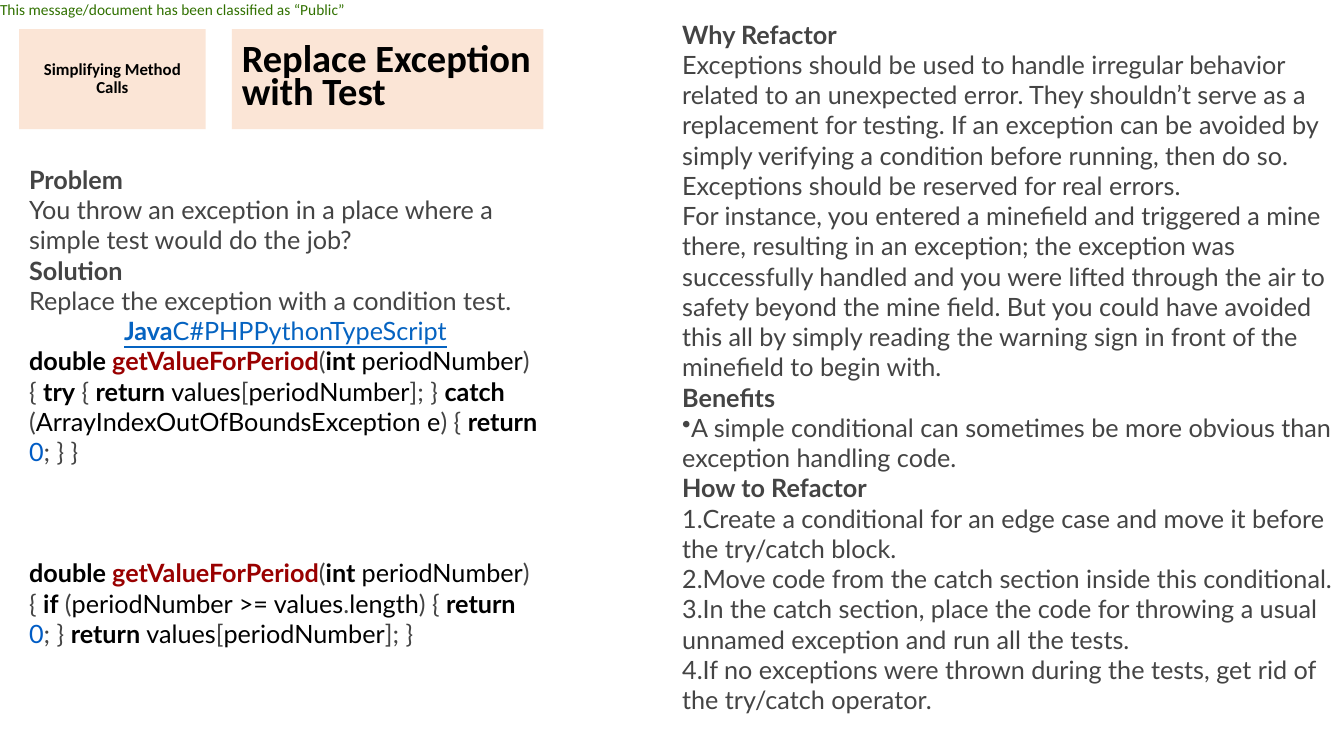
from dataclasses import dataclass, field

import pptx
import pptx.dml.color
import pptx.enum.shapes
import pptx.enum.text
import pptx.oxml.ns
import pptx.util
from lxml import etree

Pt = pptx.util.Pt
ALIGN = pptx.enum.text.PP_ALIGN
ANCHOR = pptx.enum.text.MSO_ANCHOR

GREY, BLACK, PEACH = "444444", "000000", "FBE5D6"


@dataclass(frozen=True)
class Style:
    color: str = GREY
    bold: bool = False
    underline: bool = False
    size: float = 18
    name: str = "Lato"


PLAIN = Style()
HEADING = Style(bold=True)
KEYWORD = Style(BLACK, bold=True)
METHOD = Style("990000", bold=True)
IDENTIFIER = Style(BLACK)
NUMBER = Style("005CC5")
TAB = Style("0563C1", underline=True)
ACTIVE_TAB = Style("0563C1", bold=True, underline=True)
CLASSIFICATION = Style("317100", size=11, name="Calibri")
CATEGORY = Style(BLACK, bold=True, size=12, name="Calibri")
TITLE = Style(BLACK, bold=True, size=27.5, name="Calibri")


@dataclass(frozen=True)
class Para:
    runs: list[tuple[str, Style]]
    layout: dict = field(default_factory=dict)
    bullet: tuple[str, str, str] | None = None  # tag, attribute, value


@dataclass(frozen=True)
class Box:
    left: float
    top: float
    width: float
    height: float
    paras: list[Para]
    frame: dict = field(default_factory=dict)
    fill: str | None = None


def rgb(value: str) -> pptx.dml.color.RGBColor:
    return pptx.dml.color.RGBColor.from_string(value)


def apply(target, values: dict) -> None:
    for name, value in values.items():
        setattr(target, name, value)


def line(text: str, style: Style = PLAIN, **layout) -> Para:
    return Para([(text, style)], layout)


def dot(text: str) -> Para:
    return Para([(text, PLAIN)], bullet=("a:buChar", "char", "•"))


def step(text: str) -> Para:
    return Para([(text, PLAIN)], bullet=("a:buAutoNum", "type", "arabicPeriod"))


def add_bullet(paragraph, bullet: tuple[str, str, str]) -> None:
    tag, attribute, value = bullet
    properties = paragraph._p.get_or_add_pPr()
    properties.set("marL", "0")
    properties.set("indent", "0")
    mark = etree.SubElement(properties, pptx.oxml.ns.qn(tag))
    mark.set(attribute, value)


def draw(slide, box: Box) -> None:
    place = [Pt(v) for v in (box.left, box.top, box.width, box.height)]
    if box.fill:
        shape = slide.shapes.add_shape(
            pptx.enum.shapes.MSO_SHAPE.RECTANGLE, *place)
        shape.shadow.inherit = False
        shape.fill.solid()
        shape.fill.fore_color.rgb = rgb(box.fill)
        shape.line.fill.background()
    else:
        shape = slide.shapes.add_textbox(*place)
    frame = shape.text_frame
    apply(frame, {"word_wrap": True, **box.frame})
    for index, para in enumerate(box.paras):
        paragraph = frame.add_paragraph() if index else frame.paragraphs[0]
        apply(paragraph, {"alignment": ALIGN.LEFT, **para.layout})
        if para.bullet:
            add_bullet(paragraph, para.bullet)
        for text, style in para.runs:
            run = paragraph.add_run()
            run.text = text
            apply(run.font, {"name": style.name, "size": Pt(style.size),
                             "bold": style.bold, "underline": style.underline})
            run.font.color.rgb = rgb(style.color)


SIGNATURE = [
    ("double ", KEYWORD), ("getValueForPeriod", METHOD), ("(", PLAIN),
    ("int ", KEYWORD), ("periodNumber", IDENTIFIER), (") { ", PLAIN),
]
RETURN_ZERO = [(") { ", PLAIN), ("return ", KEYWORD), ("0", NUMBER)]
RETURN_VALUE = [
    ("return ", KEYWORD), ("values", IDENTIFIER), ("[", PLAIN),
    ("periodNumber", IDENTIFIER),
]
CODE_BEFORE = [
    *SIGNATURE, ("try", KEYWORD), (" { ", PLAIN), *RETURN_VALUE,
    ("]; } ", PLAIN), ("catch", KEYWORD), (" (", PLAIN),
    ("ArrayIndexOutOfBoundsException e", IDENTIFIER), *RETURN_ZERO,
    ("; } }", PLAIN),
]
CODE_AFTER = [
    *SIGNATURE, ("if", KEYWORD), (" (", PLAIN),
    ("periodNumber >= values", IDENTIFIER), (".", PLAIN),
    ("length", IDENTIFIER), *RETURN_ZERO, ("; } ", PLAIN), *RETURN_VALUE,
    ("]; }", PLAIN),
]

MIDDLE = {"vertical_anchor": ANCHOR.MIDDLE}
NO_MARGINS = {f"margin_{side}": 0 for side in ("left", "top", "right", "bottom")}

BOXES = [
    Box(0, 0, 270, 13,
        [line("This message/document has been classified as “Public”",
              CLASSIFICATION)],
        {**NO_MARGINS, "word_wrap": False}),
    Box(13.7, 20.9, 133.2, 71.3,
        [line("Simplifying Method Calls", CATEGORY,
              alignment=ALIGN.CENTER, line_spacing=0.9)], MIDDLE, PEACH),
    Box(165.6, 20.9, 222.5, 71.3,
        [line("Replace Exception with Test", TITLE, line_spacing=0.7)],
        MIDDLE, PEACH),
    Box(13.7, 113.8, 380.2, 399.6, [
        line("Problem", HEADING),
        line("You throw an exception in a place where a simple test would "
             "do the job?"),
        line("Solution", HEADING),
        line("Replace the exception with a condition test."),
        Para([("Java", ACTIVE_TAB), ("C#PHPPythonTypeScript", TAB)],
             {"alignment": ALIGN.CENTER}),
        Para(CODE_BEFORE),
        Para(CODE_AFTER, {"space_before": Pt(65)}),
    ]),
    Box(480.2, 10.1, 483.1, 509, [
        line("Why Refactor", HEADING),
        line("Exceptions should be used to handle irregular behavior related "
             "to an unexpected error. They shouldn’t serve as a replacement "
             "for testing. If an exception can be avoided by simply verifying "
             "a condition before running, then do so. Exceptions should be "
             "reserved for real errors."),
        line("For instance, you entered a minefield and triggered a mine "
             "there, resulting in an exception; the exception was "
             "successfully handled and you were lifted through the air to "
             "safety beyond the mine field. But you could have avoided this "
             "all by simply reading the warning sign in front of the "
             "minefield to begin with."),
        line("Benefits", HEADING),
        dot("A simple conditional can sometimes be more obvious than "
            "exception handling code."),
        line("How to Refactor", HEADING),
        step("Create a conditional for an edge case and move it before the "
             "try/catch block."),
        step("Move code from the catch section inside this conditional."),
        step("In the catch section, place the code for throwing a usual "
             "unnamed exception and run all the tests."),
        step("If no exceptions were thrown during the tests, get rid of the "
             "try/catch operator."),
    ]),
]


def main() -> None:
    deck = pptx.Presentation()
    deck.slide_width, deck.slide_height = Pt(960), Pt(540)
    slide = deck.slides.add_slide(deck.slide_layouts[6])
    for box in BOXES:
        draw(slide, box)
    deck.save("out.pptx")


if __name__ == "__main__":
    main()
